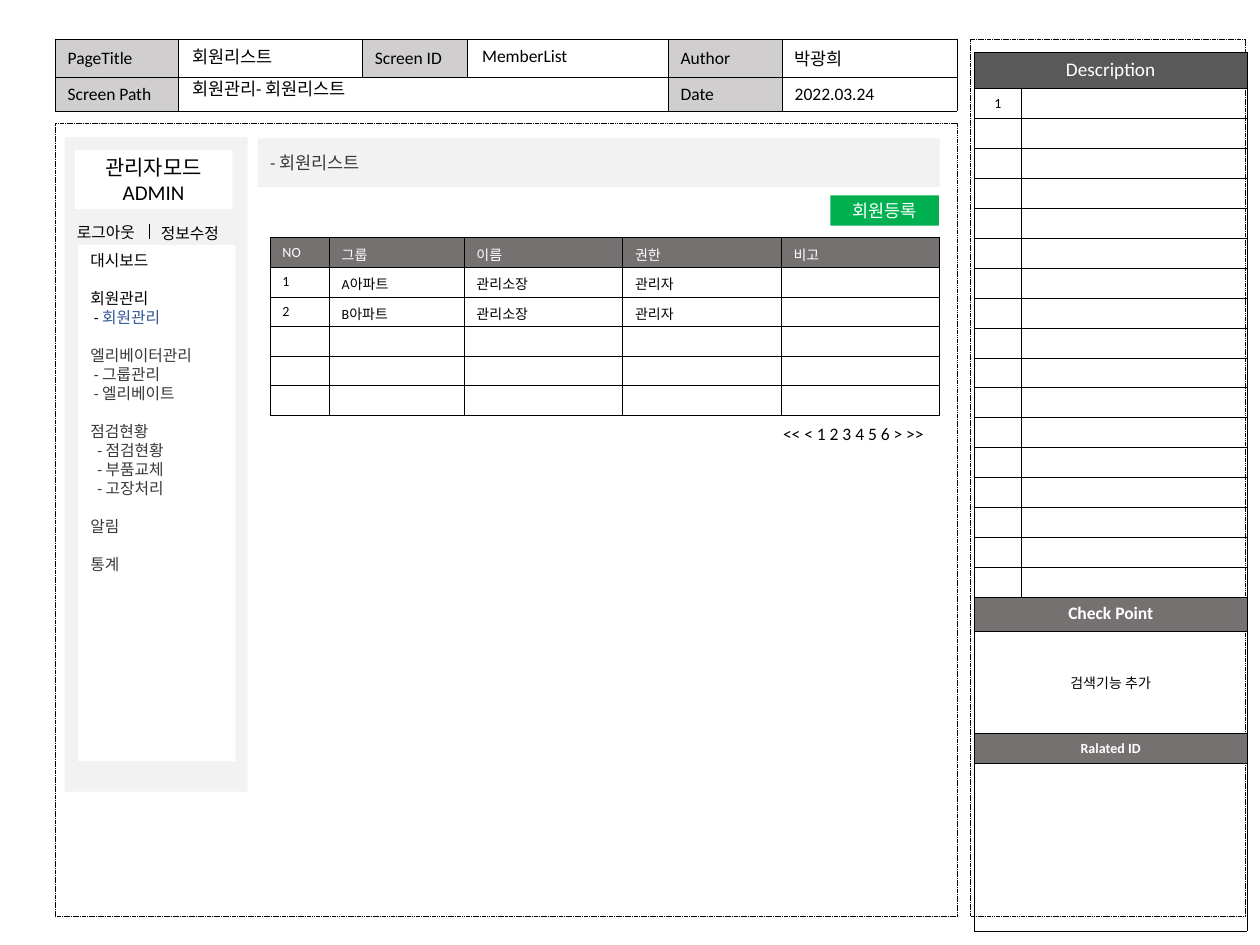
from dataclasses import dataclass
from typing import Optional

from lxml.etree import SubElement
from pptx import Presentation
from pptx.dml.color import RGBColor
from pptx.enum.dml import MSO_LINE
from pptx.enum.shapes import MSO_CONNECTOR, MSO_SHAPE
from pptx.enum.text import MSO_ANCHOR, MSO_AUTO_SIZE, PP_ALIGN
from pptx.oxml.ns import qn
from pptx.util import Pt

BLACK, WHITE, PANEL = "000000", "FFFFFF", "F2F2F2"
LABEL, HEADING, INK, ACTIVE = "D0CECE", "767171", "3B3838", "2F5597"
FONT = "Calibri"


@dataclass
class Box:
    left: float
    top: float
    width: float
    height: float

    def place(self) -> tuple:
        return Pt(self.left), Pt(self.top), Pt(self.width), Pt(self.height)


@dataclass
class Cell:
    text: str = ""
    fill: Optional[str] = None
    color: str = BLACK
    size: float = 8
    bold: bool = False
    align: PP_ALIGN = PP_ALIGN.LEFT
    span: int = 1


@dataclass
class Note:
    text: str
    box: Box
    size: float = 10
    wrap: bool = True


@dataclass
class MenuItem:
    text: str
    color: str = INK
    bullet_color: Optional[str] = None
    indent: float = 0
    gap: float = 0


def rgb(value: str) -> RGBColor:
    return RGBColor.from_string(value)


def add_text(paragraph, text: str, *, size: float = 10, color: str = BLACK,
             bold: bool = False, align: PP_ALIGN = PP_ALIGN.LEFT) -> None:
    paragraph.alignment = align
    run = paragraph.add_run()
    run.text = text
    run.font.name = FONT
    run.font.size = Pt(size)
    run.font.bold = bold
    run.font.color.rgb = rgb(color)


def add_rect(box: Box, fill: Optional[str] = None):
    """A filled panel, or a dashed frame when there is no fill."""
    rect = slide.shapes.add_shape(MSO_SHAPE.RECTANGLE, *box.place())
    rect.shadow.inherit = False
    if fill:
        rect.fill.solid()
        rect.fill.fore_color.rgb = rgb(fill)
        rect.line.fill.background()
    else:
        rect.fill.background()
        rect.line.color.rgb = rgb(BLACK)
        rect.line.width = Pt(0.25)
        rect.line.dash_style = MSO_LINE.SQUARE_DOT
    return rect


def add_label(box: Box, fill: str, lines: list[str], **text_format) -> None:
    frame = add_rect(box, fill).text_frame
    frame.vertical_anchor = MSO_ANCHOR.MIDDLE
    for index, line in enumerate(lines):
        paragraph = frame.add_paragraph() if index else frame.paragraphs[0]
        add_text(paragraph, line, align=PP_ALIGN.CENTER, **text_format)


def add_note(note: Note) -> None:
    frame = slide.shapes.add_textbox(*note.box.place()).text_frame
    frame.word_wrap = note.wrap
    frame.auto_size = MSO_AUTO_SIZE.SHAPE_TO_FIT_TEXT
    add_text(frame.paragraphs[0], note.text, size=note.size)


def format_cell(cell, content: Cell) -> None:
    properties = cell._tc.get_or_add_tcPr()
    for side in ("a:lnL", "a:lnR", "a:lnT", "a:lnB"):
        border = SubElement(properties, qn(side), w=str(Pt(0.25)))
        SubElement(SubElement(border, qn("a:solidFill")), qn("a:srgbClr"), val=BLACK)
    if content.fill:
        cell.fill.solid()
        cell.fill.fore_color.rgb = rgb(content.fill)
    else:
        cell.fill.background()
    cell.vertical_anchor = MSO_ANCHOR.MIDDLE
    paragraph = cell.text_frame.paragraphs[0]
    if content.text:
        add_text(paragraph, content.text, size=content.size, color=content.color,
                 bold=content.bold, align=content.align)
    else:
        SubElement(paragraph._p, qn("a:endParaRPr"), sz=str(int(content.size * 100)))


def add_grid(left: float, top: float, widths: list[float], heights: list[float],
             rows: list[list[Cell]]) -> None:
    """Cells that a row leaves out are empty."""
    box = Box(left, top, sum(widths), sum(heights))
    table = slide.shapes.add_table(len(heights), len(widths), *box.place()).table
    table.first_row = table.horz_banding = False
    for column, width in zip(table.columns, widths):
        column.width = Pt(width)
    for r, height in enumerate(heights):
        table.rows[r].height = Pt(height)
        contents = rows[r] if r < len(rows) else []
        for c in range(len(widths)):
            content = contents[c] if c < len(contents) else Cell()
            format_cell(table.cell(r, c), content)
            if content.span > 1:
                table.cell(r, c).merge(table.cell(r, c + content.span - 1))


def label(text: str) -> Cell:
    return Cell(text, fill=LABEL, size=10)


def band(text: str, size: float, fill: str = HEADING, bold: bool = True) -> Cell:
    return Cell(text, fill, WHITE, size, bold, PP_ALIGN.CENTER, span=2)


presentation = Presentation()
presentation.slide_width, presentation.slide_height = Pt(720), Pt(540)
slide = presentation.slides.add_slide(presentation.slide_layouts[5])

# Page title bar
title = slide.shapes.title
title.left, title.top, title.width, title.height = Box(147.2, 79, 389.8, 28).place()
title.fill.solid()
title.fill.fore_color.rgb = rgb(PANEL)
title.text_frame.auto_size = MSO_AUTO_SIZE.NONE
title.text_frame.vertical_anchor = MSO_ANCHOR.MIDDLE
add_text(title.text_frame.paragraphs[0], "- 회원리스트", color=INK)

# Document header
add_grid(31.5, 22.4, [70.5, 105.1, 60, 114.7, 65.2, 100], [21.8, 18.9], [
    [label("PageTitle"), Cell(), label("Screen ID"), Cell(), label("Author"),
     Cell("박광희", size=10)],
    [label("Screen Path"), Cell(span=3), Cell(), Cell(), label("Date"),
     Cell("2022.03.24", size=10)],
])

# Frames and sidebar panel
add_rect(Box(31.5, 70.6, 515.5, 453))
add_rect(Box(554.4, 22.4, 157, 501))
add_rect(Box(37, 78.4, 104.6, 374), PANEL)

# Description column
DESCRIPTION_ROWS = 17
add_grid(556.8, 29.8, [26.8, 129], [20.6] + [17.1] * DESCRIPTION_ROWS + [19.2, 58.6, 16.7, 95.7], [
    [band("Description", 11, fill="595959", bold=False)],
    [Cell("1", align=PP_ALIGN.CENTER)],
    *[[] for _ in range(DESCRIPTION_ROWS - 1)],
    [band("Check Point", 10)],
    [Cell("검색기능 추가", align=PP_ALIGN.CENTER, span=2)],
    [band("Ralated ID", 8)],
    [Cell(span=2)],
])

# Sidebar heading and menu
add_label(Box(42.8, 85.7, 90, 33.7), WHITE, ["관리자모드", "ADMIN"], size=12)
GAP = 10.9
menu = [
    MenuItem("대시보드", BLACK),
    MenuItem("회원관리", BLACK, gap=GAP),
    MenuItem("회원관리", ACTIVE, bullet_color=BLACK, indent=2),
    MenuItem("엘리베이터관리", gap=GAP),
    MenuItem("그룹관리", bullet_color=INK, indent=2),
    MenuItem("엘리베이트", bullet_color=INK, indent=2),
    MenuItem("점검현황", gap=GAP),
    *[MenuItem(name, bullet_color=INK, indent=4) for name in ("점검현황", "부품교체", "고장처리")],
    MenuItem("알림", gap=GAP),
    MenuItem("통계", gap=GAP),
]
menu_frame = add_rect(Box(44.5, 139.9, 90, 295), WHITE).text_frame
menu_frame.vertical_anchor = MSO_ANCHOR.TOP
for index, item in enumerate(menu):
    entry = menu_frame.add_paragraph() if index else menu_frame.paragraphs[0]
    entry.space_before = Pt(item.gap)
    entry._p.get_or_add_pPr().set("marL", str(Pt(item.indent)))
    if item.bullet_color:
        add_text(entry, "- ", size=9, color=item.bullet_color)
    add_text(entry, item.text, size=9, color=item.color)

# Header values, account links and pager
for note in (
    Note("회원리스트", Box(102.7, 23, 104.4, 19.4)),
    Note("회원관리- 회원리스트", Box(102.7, 40.9, 276.5, 19.4)),
    Note("MemberList", Box(268.4, 21.9, 104.4, 19.4)),
    Note("로그아웃", Box(36.8, 123.8, 51, 18.2), 9, wrap=False),
    Note("정보수정", Box(84.8, 124.4, 51, 18.2), 9, wrap=False),
    Note("<< < 1 2 3 4 5 6 > >>", Box(440.4, 237.9, 96.5, 19.4), wrap=False),
):
    add_note(note)

link_divider = slide.shapes.add_connector(MSO_CONNECTOR.STRAIGHT, Pt(85.5), Pt(128), Pt(85.5), Pt(136.8))
link_divider.line.color.rgb = rgb(BLACK)
link_divider.line.width = Pt(0.5)
SubElement(link_divider._element.spPr, qn("a:effectLst"))

# Member list
members = [("1", "A아파트", "관리소장", "관리자"), ("2", "B아파트", "관리소장", "관리자")]
add_grid(154.2, 135.8, [33.9, 77] + [90.6] * 3, [16.9] * 6, [
    [Cell(name, HEADING, WHITE) for name in ("NO", "그룹", "이름", "권한", "비고")],
    *[[Cell(value) for value in member] for member in members],
])
add_label(Box(474.5, 111.7, 62, 17.2), "00B050", ["회원등록"], color=WHITE)

presentation.save("out.pptx")
